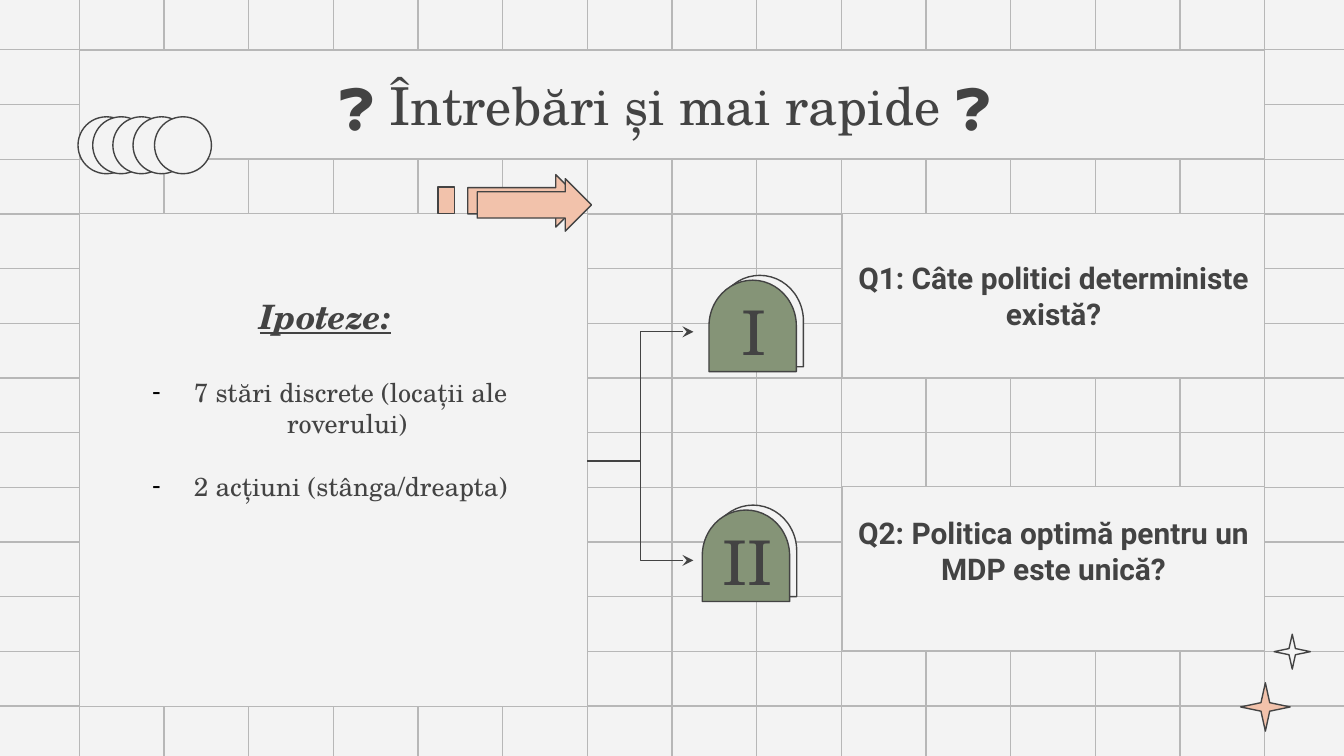
from lxml import etree
from pptx import Presentation
from pptx.dml.color import RGBColor
from pptx.enum.shapes import MSO_CONNECTOR, MSO_SHAPE
from pptx.enum.text import MSO_ANCHOR, MSO_AUTO_SIZE, PP_ALIGN
from pptx.oxml.ns import qn
from pptx.util import Pt

PAPER = RGBColor(0xF3, 0xF3, 0xF3)
GRID = RGBColor(0xB7, 0xB7, 0xB7)
INK = RGBColor(0x43, 0x43, 0x43)
PEACH = RGBColor(0xF2, 0xC2, 0xAB)
OLIVE = RGBColor(0x85, 0x94, 0x77)
SERIF, SANS = "TeX Gyre Schola", "Roboto"
STRAIGHT, ELBOW = MSO_CONNECTOR.STRAIGHT, MSO_CONNECTOR.ELBOW
RECT, OVAL, STAR = MSO_SHAPE.RECTANGLE, MSO_SHAPE.OVAL, MSO_SHAPE.STAR_4_POINT
ARROW, DOME = MSO_SHAPE.UP_ARROW, MSO_SHAPE.FLOWCHART_DELAY
CENTER, MIDDLE, BOTTOM = PP_ALIGN.CENTER, MSO_ANCHOR.MIDDLE, MSO_ANCHOR.BOTTOM

TITLE = "❓ Întrebări și mai rapide ❓ "
HEADING = "Ipoteze:"
ASSUMPTIONS = [
    ("7 stări discrete (locații ale roverului) ", 21.5),
    ("2 acțiuni (stânga/dreapta)", 16.7),
]
QUESTIONS = [
    {"numeral": "I", "text": "Q1: Câte politici deterministe există?",
     "card_top": 114.5, "dome": (378.7, 151.2), "arrow_y": 177.8, "bottom": 7.2},
    {"numeral": "II", "text": "Q2: Politica optimă pentru un MDP este unică?",
     "card_top": 260.6, "dome": (375.1, 274.3), "arrow_y": 300.2, "bottom": 26},
]
STARS = [(664.6, 365.8, 26.6, 25.9, PEACH), (682.6, 339.8, 19.4, 18.7, PAPER)]
CIRCLE_LEFTS = [41.8, 49.7, 60.5, 71.3, 82.8]
ARROWS = [(267.1, 77), (272.2, 79.2)]

GRID_LEFT, GRID_TOP, STEP_X, STEP_Y = 42.5, 26.7, 45.36, 29.3
COLUMNS, ROWS, BLEED = 15, 13, 3
WIDTH, HEIGHT = 720, 405
FORK = (314.6, 247)
ARROW_X = 371.5

deck = Presentation()
deck.slide_width, deck.slide_height = Pt(WIDTH), Pt(HEIGHT)
page = deck.slides.add_slide(deck.slide_layouts[1])
page.background.fill.solid()
page.background.fill.fore_color.rgb = PAPER


def add_line(kind, x1, y1, x2, y2, color):
    line = page.shapes.add_connector(kind, Pt(x1), Pt(y1), Pt(x2), Pt(y2))
    line.line.color.rgb = color
    line.line.width = Pt(0.75)
    etree.SubElement(line.element.spPr, qn("a:effectLst"))
    return line


def paint(shape, fill, outline):
    shape.fill.solid()
    shape.fill.fore_color.rgb = fill
    shape.line.color.rgb = outline
    shape.line.width = Pt(0.75)


def add_figure(kind, left, top, width, height, fill, outline=INK, turn=0):
    shape = page.shapes.add_shape(kind, Pt(left), Pt(top), Pt(width), Pt(height))
    shape.shadow.inherit = False
    shape.rotation = turn
    paint(shape, fill, outline)
    return shape


def place(holder, left, top, width, height):
    holder.left, holder.top = Pt(left), Pt(top)
    holder.width, holder.height = Pt(width), Pt(height)
    holder.element.getparent().append(holder.element)


def set_frame(box, anchor, bottom=7.2):
    frame = box.text_frame
    frame.word_wrap = True
    frame.auto_size = MSO_AUTO_SIZE.NONE
    frame.vertical_anchor = anchor
    frame.margin_left = frame.margin_right = frame.margin_top = Pt(7.2)
    frame.margin_bottom = Pt(bottom)
    return frame


def write(para, text, size, font=SERIF, bold=False):
    para.alignment = CENTER
    para.space_before = Pt(0)
    span = para.add_run()
    span.text = text
    span.font.size, span.font.name, span.font.bold = Pt(size), font, bold
    span.font.color.rgb = INK
    return span


def set_bullet(para, mark=None):
    props = para._p.get_or_add_pPr()
    indent = Pt(22.3) if mark else 0
    props.set("marL", str(indent))
    props.set("indent", str(-indent))
    if mark:
        color = etree.SubElement(props, qn("a:buClr"))
        etree.SubElement(color, qn("a:srgbClr"), val="000000")
        etree.SubElement(props, qn("a:buChar"), char=mark)
    else:
        etree.SubElement(props, qn("a:buNone"))


for column in range(COLUMNS):
    x = GRID_LEFT + column * STEP_X
    add_line(STRAIGHT, x, -BLEED, x, HEIGHT + BLEED, GRID)
for row in range(ROWS):
    y = GRID_TOP + row * STEP_Y
    add_line(STRAIGHT, -BLEED, y, WIDTH + BLEED, y, GRID)

for left, top, width, height, fill in STARS:
    star = add_figure(STAR, left, top, width, height, fill)
    star.adjustments[0] = 0.125

add_figure(RECT, GRID_LEFT, 114.5, 272.2, 264, PAPER, GRID)

title = page.shapes.title
place(title, GRID_LEFT, GRID_TOP, 635, 58.5)
paint(title, PAPER, GRID)
write(set_frame(title, MIDDLE).paragraphs[0], TITLE, 28)

body = page.placeholders[1]
place(body, 46.8, 139, 260, 136.8)
frame = set_frame(body, BOTTOM)
para = frame.paragraphs[0]
set_bullet(para)
span = write(para, HEADING, 18, bold=True)
span.font.italic = span.font.underline = True
write(para, " ", 18)
for text, gap in ASSUMPTIONS:
    para = frame.add_paragraph()
    set_bullet(para, "-")
    write(para, text, 14)
    para.space_before = Pt(gap)

for question in QUESTIONS:
    card = add_figure(RECT, 451.4, question["card_top"], 226.1, 87.8, PAPER, GRID)
    frame = set_frame(card, MIDDLE, question["bottom"])
    write(frame.paragraphs[0], question["text"], 16, SANS, True)

    branch = add_line(ELBOW, *FORK, ARROW_X, question["arrow_y"], INK)
    etree.SubElement(branch.line._get_or_add_ln(), qn("a:tailEnd"), type="stealth")

    left, top = question["dome"]
    add_figure(DOME, left + 3.8, top - 2.6, 49, 46.8, PAPER, turn=270)
    add_figure(DOME, left, top, 49, 46.8, OLIVE, turn=270)
    label = page.shapes.add_textbox(Pt(left - 7.2), Pt(top + 10.1), Pt(64.8), Pt(32.4))
    write(set_frame(label, MIDDLE).paragraphs[0], question["numeral"], 33)

add_figure(RECT, 234.7, 100.1, 8.9, 14.2, PEACH)
for left, top in ARROWS:
    add_figure(ARROW, left, top, 28.1, 61.2, PEACH, turn=90)
for left in CIRCLE_LEFTS:
    add_figure(OVAL, left, 62.6, 30.5, 30.5, PAPER)

deck.save("out.pptx")
